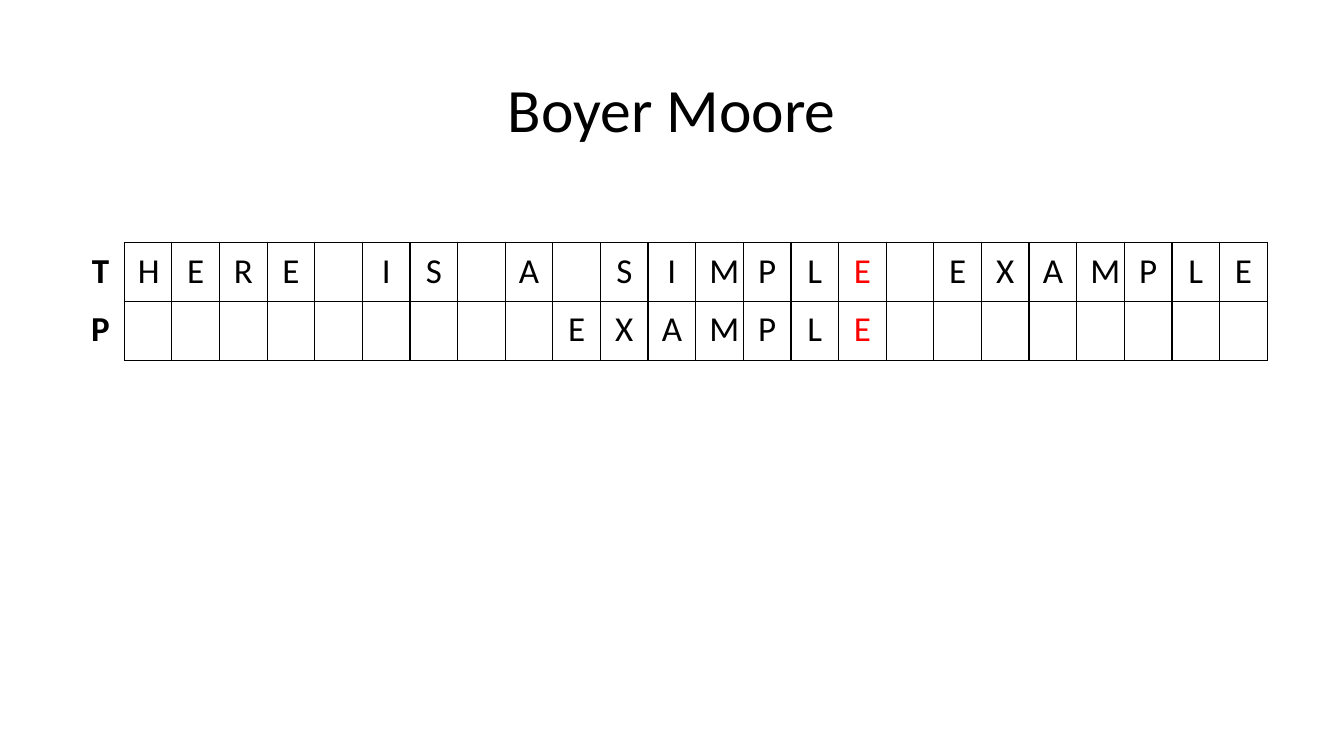
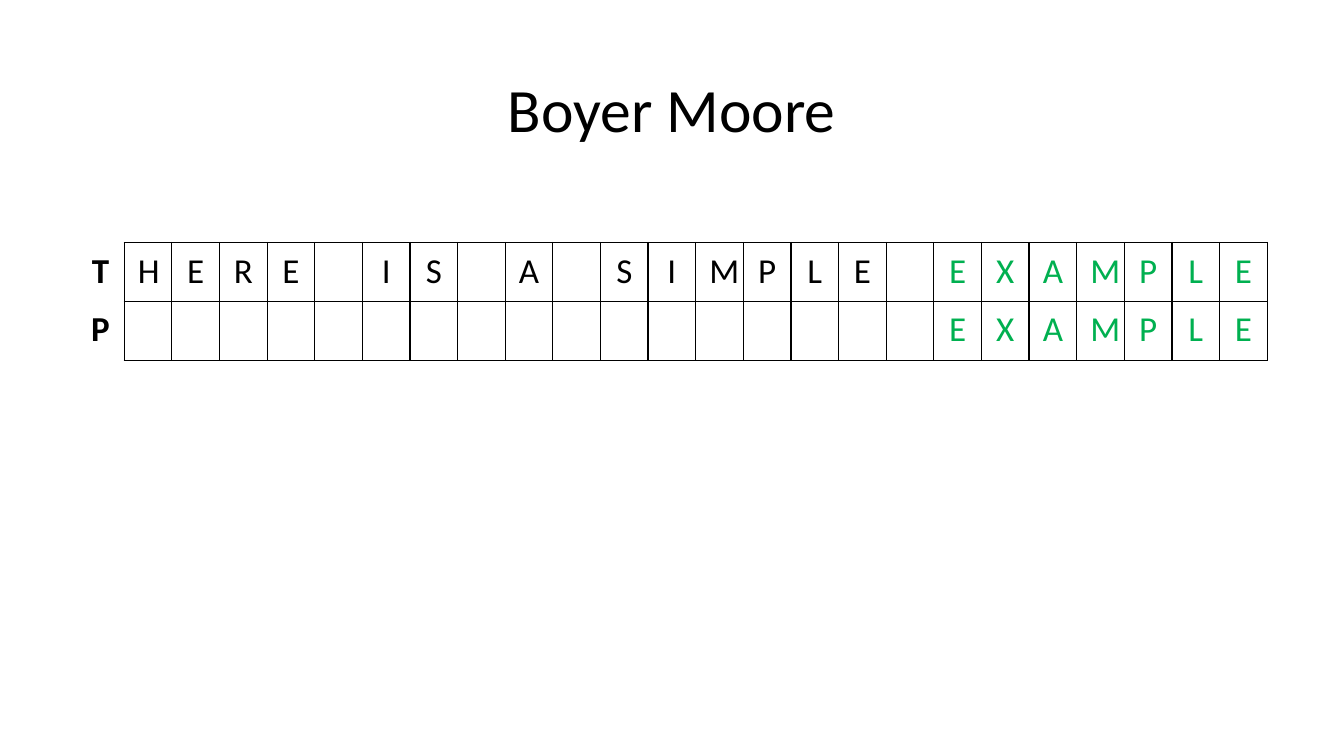
from dataclasses import dataclass

from lxml import etree
from pptx import Presentation
from pptx import util as u
from pptx.dml.color import RGBColor
from pptx.enum import text
from pptx.oxml import ns

EMU_PER_PX = 9525
FONT = "Calibri"
COLORS = {"ink": "000000", "mismatch": "FF0000", "match": "00B050"}
TITLE = "Boyer Moore"
SEARCH_TEXT = "HERE IS A SIMPLE EXAMPLE"
PATTERN = "EXAMPLE"


@dataclass(frozen=True)
class Alignment:
    """One position of the pattern, with the highlighted range of text indexes."""

    offset: int
    highlight: range
    color: str


ALIGNMENTS = (
    Alignment(9, range(15, 16), "mismatch"),
    Alignment(17, range(17, 24), "match"),
)


def px(length: int) -> u.Emu:
    """Turn pixels into EMU."""
    return u.Emu(length * EMU_PER_PX)


def format_font(font, size: int, color: str, bold: bool = False) -> None:
    """Apply the shared typeface with a size, colour and weight."""
    font.name = FONT
    font.size = u.Pt(size)
    font.bold = bold
    font.color.rgb = RGBColor.from_string(COLORS[color])


def add_title(slide) -> None:
    """Fill and format the title placeholder."""
    title = slide.shapes.title
    title.left, title.top, title.width, title.height = map(px, (88, 38, 1104, 139))
    frame = title.text_frame
    frame.text = TITLE
    frame.auto_size = text.MSO_AUTO_SIZE.NONE
    frame.vertical_anchor = text.MSO_ANCHOR.MIDDLE
    paragraph = frame.paragraphs[0]
    paragraph.alignment = text.PP_ALIGN.CENTER
    paragraph.line_spacing = 0.9
    format_font(paragraph.runs[0].font, 44, "ink")


def set_borders(cell, visible_sides: str) -> None:
    """Draw the named sides of a cell and hide the others."""
    properties = cell._tc.get_or_add_tcPr()
    for side in "LRTB":
        line = etree.SubElement(properties, ns.qn(f"a:ln{side}"), w=str(u.Pt(1)))
        if side in visible_sides:
            fill = etree.SubElement(line, ns.qn("a:solidFill"))
            etree.SubElement(fill, ns.qn("a:srgbClr"), val=COLORS["ink"])
        else:
            etree.SubElement(line, ns.qn("a:noFill"))


def fill_cell(cell, letter: str, color: str, is_label: bool) -> None:
    """Style a cell and write its letter, if any."""
    set_borders(cell, "R" if is_label else "LRTB")
    cell.fill.background()
    cell.margin_left = cell.margin_right = px(13)
    cell.margin_top = cell.margin_bottom = px(7)
    if letter.strip():
        cell.text_frame.text = letter
        paragraph = cell.text_frame.paragraphs[0]
        paragraph.alignment = text.PP_ALIGN.CENTER
        format_font(paragraph.runs[0].font, 25, color, is_label)


def add_alignment_table(slide, alignment: Alignment) -> None:
    """Show the text above the pattern at its current offset."""
    shifted_pattern = (" " * alignment.offset + PATTERN).ljust(len(SEARCH_TEXT))
    rows = ("T" + SEARCH_TEXT, "P" + shifted_pattern)
    column_count = len(rows[0])
    frame = slide.shapes.add_table(
        len(rows), column_count, px(73), px(231), px(1134), px(112)
    )
    table = frame.table
    table.first_row = table.horz_banding = False
    for row_index, letters in enumerate(rows):
        for column_index, letter in enumerate(letters):
            highlighted = column_index - 1 in alignment.highlight
            color = alignment.color if highlighted else "ink"
            cell = table.cell(row_index, column_index)
            fill_cell(cell, letter, color, column_index == 0)


def main() -> None:
    """Build and save the presentation."""
    presentation = Presentation()
    presentation.slide_width, presentation.slide_height = px(1280), px(720)
    title_only = presentation.slide_layouts.get_by_name("Title Only")
    for alignment in ALIGNMENTS:
        slide = presentation.slides.add_slide(title_only)
        add_title(slide)
        add_alignment_table(slide, alignment)
    presentation.save("out.pptx")


if __name__ == "__main__":
    main()
